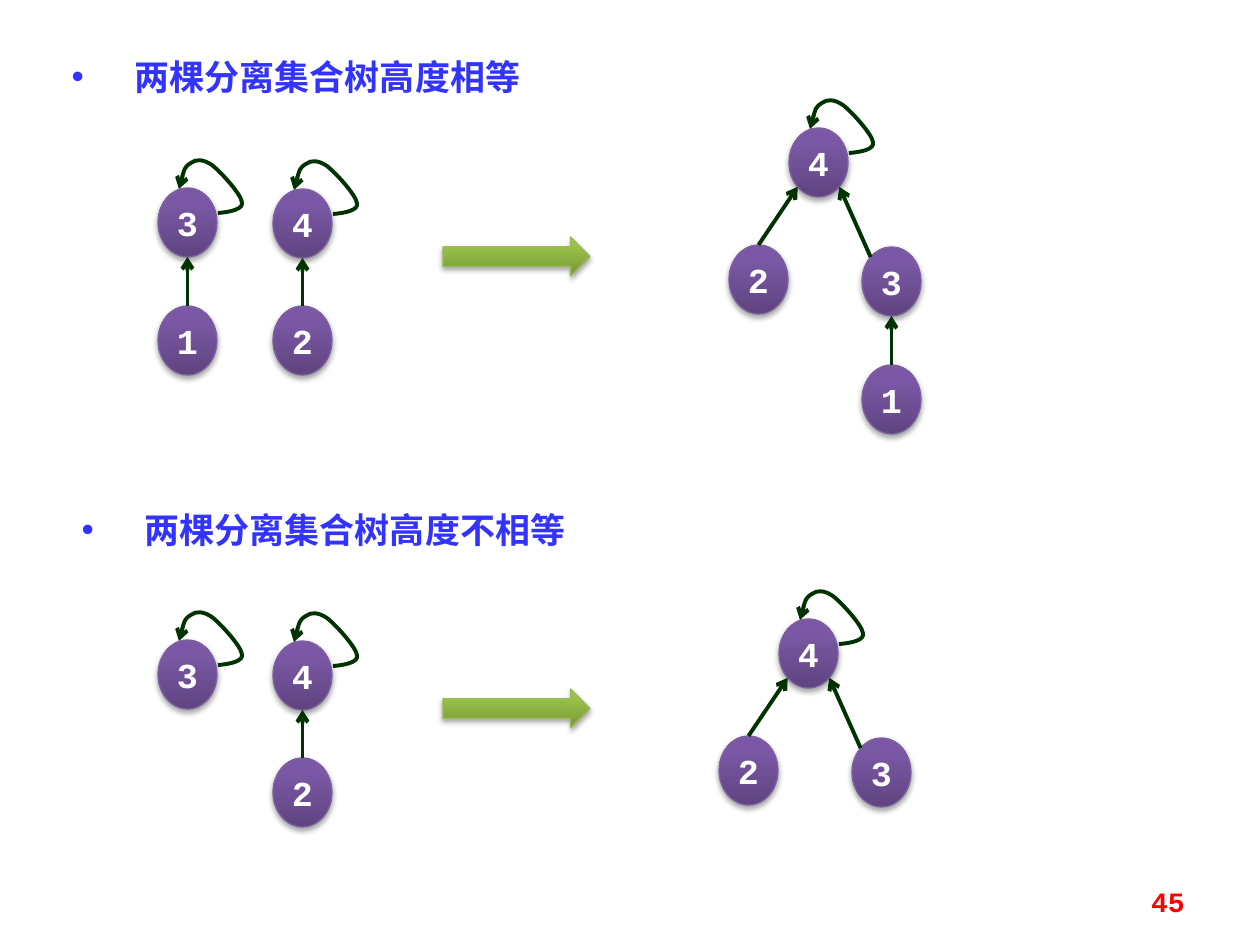
import copy
import math

import pptx
import pptx.dml.color
import pptx.enum.shapes
import pptx.enum.text
import pptx.oxml
import pptx.oxml.ns
import pptx.util

THEME = {
    "heading": "3333FF", "edge": "003300", "number": "FF0000", "label": "FFFFFF",
    "node": (("5F4480", "7B58A6", "7C57A8"), "7D60A0"),
    "arrow": (("779737", "9BC348", "9DC746"), "98B955"),
    "heading_font": "Noto Sans CJK SC", "label_font": "Courier New",
    "text_size": 20, "number_size": 16, "edge_width": 2.25, "outline_width": 0.75,
}
SCALE = 914400 / 126
NODE_WIDTH, NODE_HEIGHT = 59, 69
HEADING_SIZE = (532, 55)
ARROW_LEFT, ARROW_SIZE = 443, (147, 39)
PAGE_NUMBER = ("45", 903, 876, 294, 50)

PANELS = [
    {"heading": ("两棵分离集合树高度相等", 59, 49), "arrow_top": 237,
     "trees": [
         {"nodes": {"3": (158, 188), "1": (158, 306)},
          "edges": [("1", "top", "3", "bottom")], "root": "3"},
         {"nodes": {"4": (273, 189), "2": (273, 306)},
          "edges": [("2", "top", "4", "bottom")], "root": "4"},
         {"nodes": {"4": (789, 128), "2": (729, 245), "3": (862, 247), "1": (862, 365)},
          "edges": [("2", "top", "4", "lower left"), ("3", "upper left", "4", "lower right"),
                    ("1", "top", "3", "bottom")], "root": "4"},
     ]},
    {"heading": ("两棵分离集合树高度不相等", 69, 502), "arrow_top": 689,
     "trees": [
         {"nodes": {"3": (158, 640)}, "edges": [], "root": "3"},
         {"nodes": {"4": (273, 641), "2": (273, 758)},
          "edges": [("2", "top", "4", "bottom")], "root": "4"},
         {"nodes": {"4": (779, 619), "2": (719, 736), "3": (852, 738)},
          "edges": [("2", "top", "4", "lower left"), ("3", "upper left", "4", "lower right")],
          "root": "4"},
     ]},
]
SITE_ANGLES = {"top": 270, "bottom": 90, "lower left": 135,
               "lower right": 45, "upper left": 225}
LOOP_START = (60, 25)
LOOP_CURVES = [
    ((73, 24), (86, 21), (84, 14)),
    ((83, 6), (63, -16), (54, -23)),
    ((45, -29), (38, -29), (33, -25)),
    ((26, -21), (24, -10), (21, 1)),
]


def px(value):
    return pptx.util.Emu(round(value * SCALE))


def color(value):
    return pptx.dml.color.RGBColor.from_string(value)


def add_element(parent, tag, **attributes):
    element = pptx.oxml.parse_xml(f"<a:{tag} {pptx.oxml.ns.nsdecls('a')}/>")
    for name, value in attributes.items():
        element.set(name, str(value))
    parent.append(element)
    return element


def set_font(paragraph, name, size, font_color):
    font = paragraph.font
    font.name, font.size, font.bold = name, pptx.util.Pt(size), True
    font.color.rgb = color(font_color)
    properties = paragraph._p.get_or_add_pPr().find(pptx.oxml.ns.qn("a:defRPr"))
    add_element(properties, "ea", typeface=name)


def style_solid(shape, style):
    stops, outline = style
    shape.fill.gradient()
    shape.fill.gradient_angle = 90
    stop_list = shape._element.spPr.find(".//" + pptx.oxml.ns.qn("a:gsLst"))
    stop_list.append(copy.deepcopy(stop_list[0]))
    for stop, position, value in zip(shape.fill.gradient_stops, (0, 0.8, 1), stops):
        stop.position = position
        stop.color.rgb = color(value)
    shape.line.color.rgb = color(outline)
    shape.line.width = pptx.util.Pt(THEME["outline_width"])
    shape.shadow.inherit = False
    effects = shape._element.spPr.find(pptx.oxml.ns.qn("a:effectLst"))
    shadow = add_element(effects, "outerShdw", blurRad=40000, dist=23000,
                         dir=5400000, rotWithShape=0)
    add_element(add_element(shadow, "srgbClr", val="000000"), "alpha", val=35000)


def style_edge(shape):
    shape.line.color.rgb = color(THEME["edge"])
    shape.line.width = pptx.util.Pt(THEME["edge_width"])
    add_element(shape.line._get_or_add_ln(), "tailEnd", type="arrow")


def add_node(slide, label, left, top):
    node = slide.shapes.add_shape(pptx.enum.shapes.MSO_SHAPE.OVAL,
                                  px(left), px(top), px(NODE_WIDTH), px(NODE_HEIGHT))
    style_solid(node, THEME["node"])
    frame = node.text_frame
    frame.margin_left = frame.margin_right = 0
    frame.vertical_anchor = pptx.enum.text.MSO_ANCHOR.MIDDLE
    paragraph = frame.paragraphs[0]
    paragraph.text = label
    paragraph.alignment = pptx.enum.text.PP_ALIGN.CENTER
    set_font(paragraph, THEME["label_font"], THEME["text_size"], THEME["label"])


def site(position, name):
    angle = math.radians(SITE_ANGLES[name])
    return (px(position[0] + NODE_WIDTH / 2 * (1 + math.cos(angle))),
            px(position[1] + NODE_HEIGHT / 2 * (1 + math.sin(angle))))


def add_edge(slide, begin, end):
    edge = slide.shapes.add_connector(pptx.enum.shapes.MSO_CONNECTOR.STRAIGHT, *begin, *end)
    style_edge(edge)
    add_element(edge._element.spPr, "effectLst")


def add_loop(slide, left, top):
    points = [(px(left + x), px(top + y)) for curve in LOOP_CURVES for x, y in curve]
    builder = slide.shapes.build_freeform(px(left + LOOP_START[0]), px(top + LOOP_START[1]))
    builder.add_line_segments(points, close=False)
    loop = builder.convert_to_shape()
    outline = loop._element.spPr.find(".//" + pptx.oxml.ns.qn("a:path"))
    segments = outline.findall(pptx.oxml.ns.qn("a:lnTo"))
    for index in range(0, len(segments), 3):
        curve = add_element(outline, "cubicBezTo")
        for segment in segments[index:index + 3]:
            curve.append(segment[0])
            outline.remove(segment)
    loop.fill.background()
    loop.shadow.inherit = False
    style_edge(loop)


def add_tree(slide, tree):
    nodes = tree["nodes"]
    for label, position in nodes.items():
        add_node(slide, label, *position)
    for child, child_site, parent, parent_site in tree["edges"]:
        add_edge(slide, site(nodes[child], child_site), site(nodes[parent], parent_site))
    add_loop(slide, *nodes[tree["root"]])


def fill_heading(placeholder, text, left, top):
    placeholder.left, placeholder.top = px(left), px(top)
    placeholder.width, placeholder.height = map(px, HEADING_SIZE)
    frame = placeholder.text_frame
    frame.auto_size = pptx.enum.text.MSO_AUTO_SIZE.NONE
    paragraph = frame.paragraphs[0]
    paragraph.text = text
    paragraph.space_before = pptx.util.Pt(0)
    properties = paragraph._p.get_or_add_pPr()
    properties.set("marL", str(px(63)))
    properties.set("indent", str(px(-63)))
    add_element(properties, "buFont", typeface="Arial")
    add_element(properties, "buChar", char="•")
    set_font(paragraph, THEME["heading_font"], THEME["text_size"], THEME["heading"])


def add_page_number(slide, text, *box):
    frame = slide.shapes.add_textbox(*map(px, box)).text_frame
    frame.word_wrap = True
    frame.vertical_anchor = pptx.enum.text.MSO_ANCHOR.MIDDLE
    paragraph = frame.paragraphs[0]
    paragraph.text = text
    paragraph.alignment = pptx.enum.text.PP_ALIGN.RIGHT
    set_font(paragraph, THEME["label_font"], THEME["number_size"], THEME["number"])


def main():
    presentation = pptx.Presentation()
    presentation.slide_width, presentation.slide_height = px(1260), px(945)
    slide = presentation.slides.add_slide(presentation.slide_layouts[3])
    title = slide.shapes.title._element
    title.getparent().remove(title)
    for placeholder, panel in zip(list(slide.placeholders), PANELS):
        fill_heading(placeholder, *panel["heading"])
        for tree in panel["trees"]:
            add_tree(slide, tree)
        arrow = slide.shapes.add_shape(pptx.enum.shapes.MSO_SHAPE.RIGHT_ARROW, px(ARROW_LEFT),
                                       px(panel["arrow_top"]), *map(px, ARROW_SIZE))
        style_solid(arrow, THEME["arrow"])
    add_page_number(slide, *PAGE_NUMBER)
    presentation.save("out.pptx")


if __name__ == "__main__":
    main()
